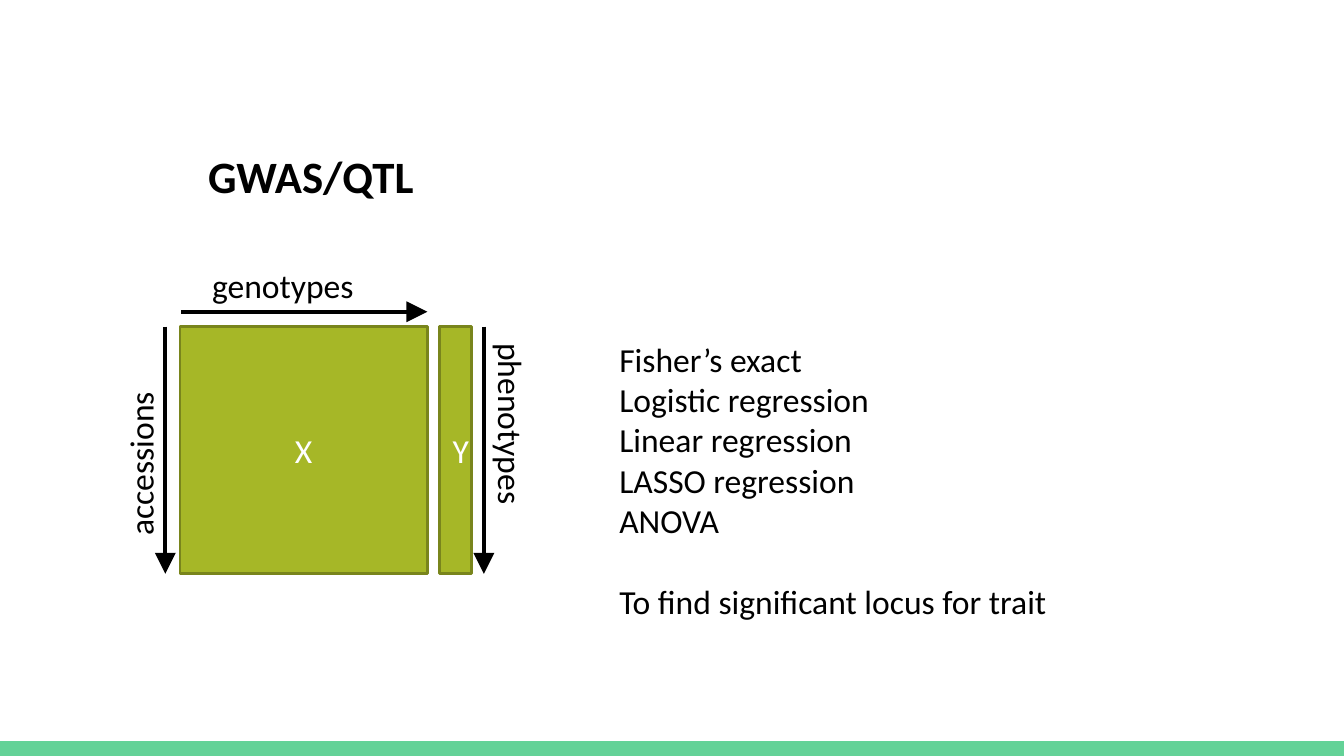
from lxml import etree
from pptx import Presentation
from pptx.dml.color import RGBColor
from pptx.enum.shapes import MSO_CONNECTOR, MSO_SHAPE
from pptx.enum.text import PP_ALIGN
from pptx.oxml.ns import qn
from pptx.util import Inches, Pt

RECTANGLE = MSO_SHAPE.RECTANGLE
STRAIGHT = MSO_CONNECTOR.STRAIGHT
CENTER = PP_ALIGN.CENTER

WIDTH = 10
HEIGHT = WIDTH * 9 / 16
BAND = 0.11
TOP, SIDE = 2.43, 1.84  # shared top and height of both matrices
BOTTOM = TOP + SIDE


def color(code):
    return RGBColor.from_string(code)


def style(para, size=18, code="000000", bold=False):
    para.font.name = "Calibri"
    para.font.size = Pt(size)
    para.font.bold = bold
    para.font.color.rgb = color(code)


deck = Presentation()
deck.slide_width, deck.slide_height = Inches(WIDTH), Inches(HEIGHT)
page = deck.slides.add_slide(deck.slide_layouts[6])

# Footer band
band = page.shapes.add_shape(
    RECTANGLE, 0, Inches(HEIGHT - BAND), Inches(WIDTH), Inches(BAND))
band.shadow.inherit = False
band.fill.solid()
band.fill.fore_color.rgb = color("63D297")
band.line.fill.background()

# Matrices X and Y
for name, left, width in (("X", 1.34, SIDE), ("Y", 3.27, 0.24)):
    matrix = page.shapes.add_shape(
        RECTANGLE, Inches(left), Inches(TOP), Inches(width), Inches(SIDE))
    matrix.shadow.inherit = False
    matrix.fill.solid()
    matrix.fill.fore_color.rgb = color("A6B727")
    matrix.line.color.rgb = color("79851C")
    matrix.line.width = Pt(1.5)
    para = matrix.text_frame.paragraphs[0]
    para.text = name
    para.alignment = CENTER
    style(para, code="FFFFFF")

# Axis arrows: genotypes, accessions, phenotypes
for ends in ((1.35, 2.32, 3.18, 2.32),
             (1.23, TOP, 1.23, BOTTOM),
             (3.6, TOP, 3.6, BOTTOM)):
    arrow = page.shapes.add_connector(STRAIGHT, *map(Inches, ends))
    arrow.line.color.rgb = color("000000")
    arrow.line.width = Pt(2.25)
    outline = arrow._element.spPr.find(qn("a:ln"))
    etree.SubElement(outline, qn("a:tailEnd"), type="triangle", w="lg", len="lg")
    etree.SubElement(arrow._element.spPr, qn("a:effectLst"))

# Title and axis labels
for text, left, top, width, height, angle, size, bold in (
    ("GWAS/QTL", 1.45, 1.06, 1.94, 0.5, 0, 24, True),
    ("genotypes", 1.48, 1.92, 1.51, 0.4, 0, 18, False),
    ("accessions", 0.28, 3.12, 1.53, 0.4, 270, 18, False),
    ("phenotypes", 2.97, 3.09, 1.67, 0.4, 90, 18, False),
):
    label = page.shapes.add_textbox(*map(Inches, (left, top, width, height)))
    label.rotation = angle
    label.text_frame.word_wrap = True
    para = label.text_frame.paragraphs[0]
    para.text = text
    style(para, size, bold=bold)

# Methods and their goal
methods = page.shapes.add_textbox(*map(Inches, (4.51, 2.47, 3.93, 1.92)))
methods.text_frame.word_wrap = True
methods.text_frame.text = "\n".join((
    "Fisher’s exact",
    "Logistic regression",
    "Linear regression",
    "LASSO regression",
    "ANOVA",
    "To find significant locus for trait",
))
for para in methods.text_frame.paragraphs:
    style(para)
para.space_before = Pt(22)  # one line apart from the methods

deck.save("out.pptx")
